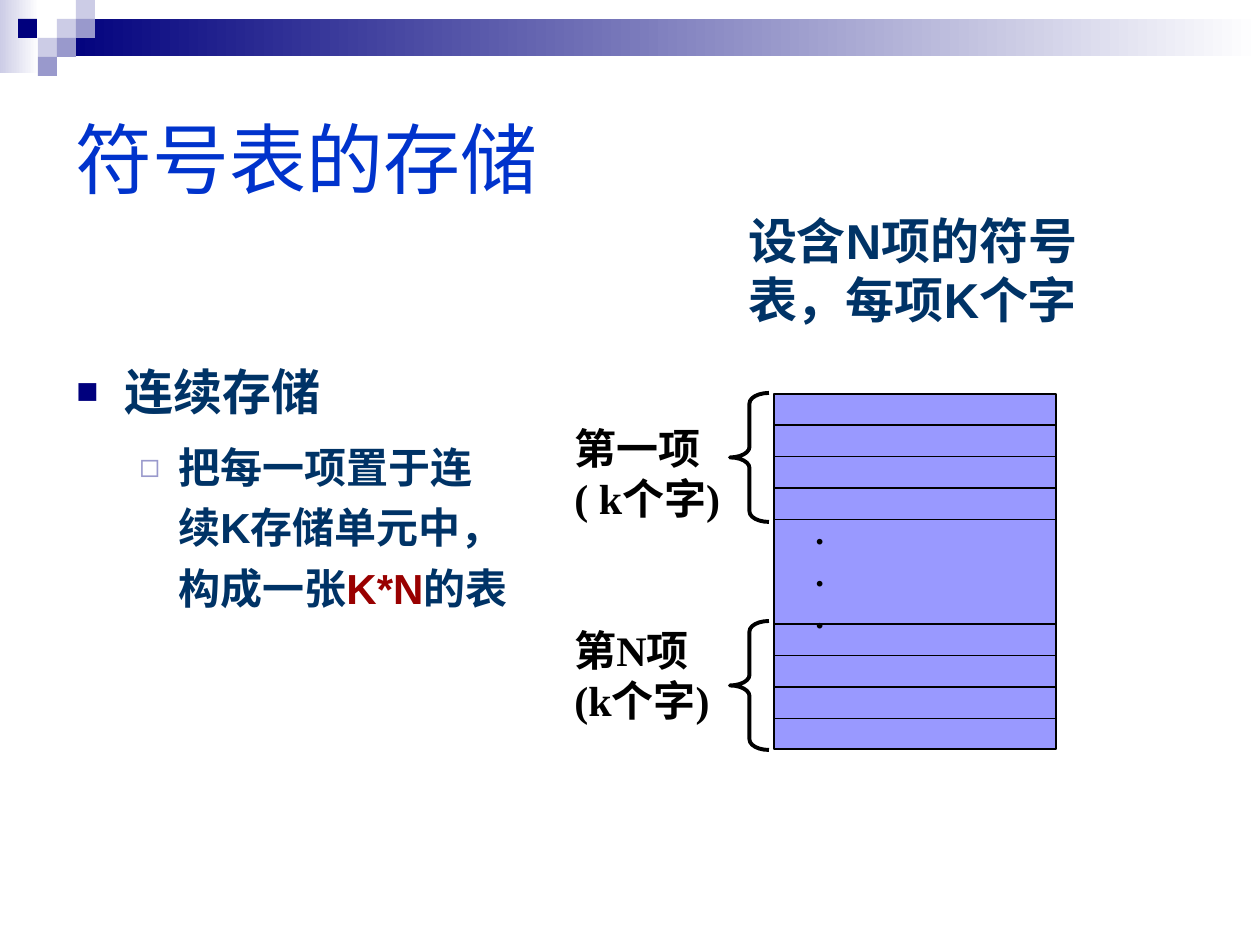
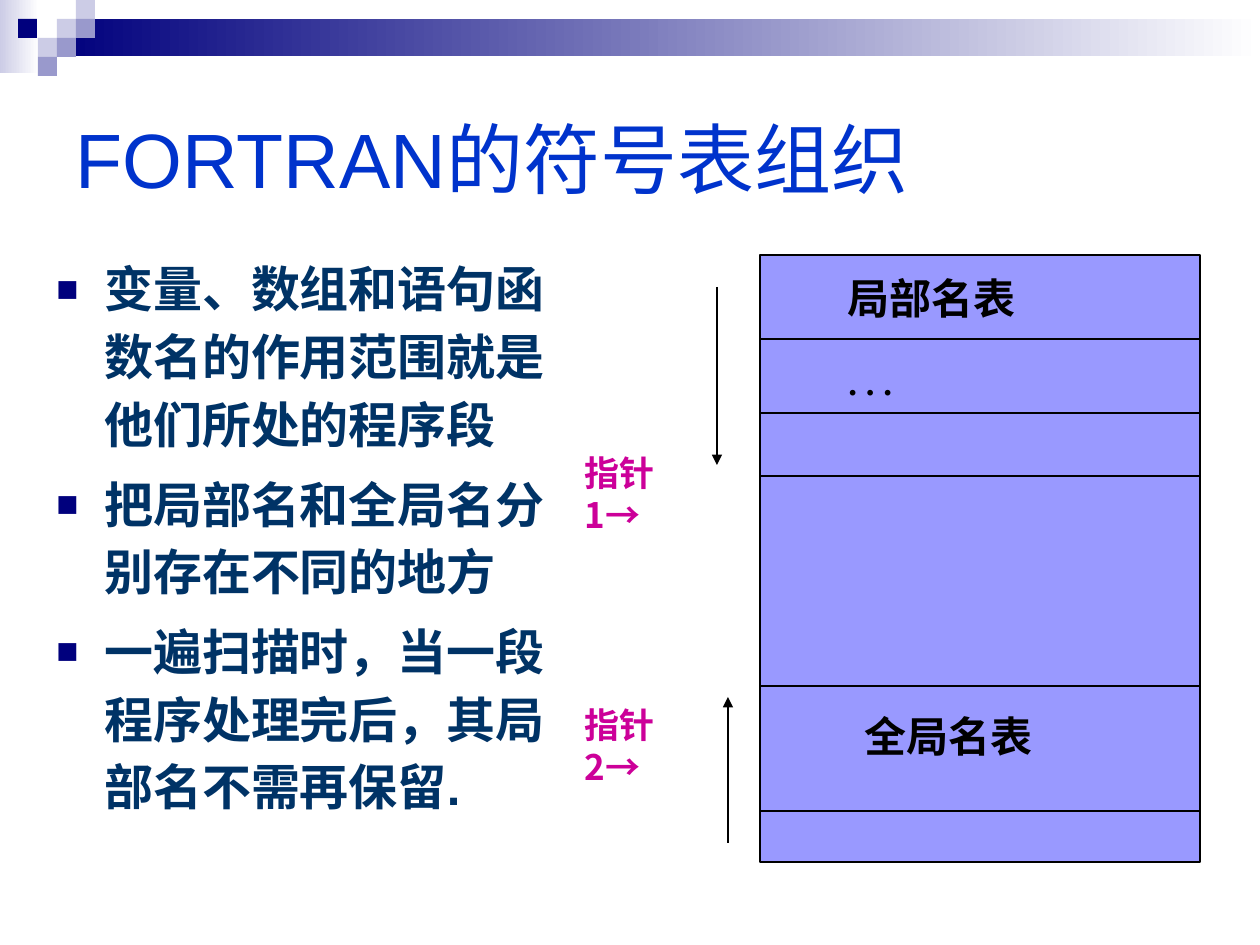
from lxml.etree import SubElement
from pptx import Presentation
from pptx.dml.color import RGBColor
from pptx.enum.shapes import MSO_CONNECTOR as Connector, MSO_SHAPE as Shape
from pptx.enum.text import MSO_ANCHOR as Anchor, MSO_AUTO_SIZE as AutoSize, PP_ALIGN as Align
from pptx.oxml.ns import qn
from pptx.util import Emu, Pt

PIXELS_PER_INCH = 126
WIDTH, HEIGHT = 1260, 945
NAVY, LAVENDER, MAUVE, CELL = "00007D", "CCCCE6", "9999CC", "9999FF"
TITLE, BODY, BLACK, WHITE = "0033CC", "003366", "000000", "FFFFFF"
RED, MAGENTA = "990000", "CC0099"
SANS, SERIF, CHINESE = "Arial", "Times New Roman", "Noto Sans CJK SC"
SQUARE = 19
THIN, MEDIUM, THICK = 0.74, 0.99, 2.24


def px(pixels):
    """Turn pixels into EMU."""
    return Emu(round(pixels * 914400 / PIXELS_PER_INCH))


def color(value):
    """Turn a hex string into a colour."""
    return RGBColor.from_string(value)


class Deck:
    """Holds the presentation, its style and the current slide."""

    def __init__(self):
        """Set the slide size and choose the title-only layout."""
        self.presentation = Presentation()
        self.presentation.slide_width = px(WIDTH)
        self.presentation.slide_height = px(HEIGHT)
        self.layout = self.presentation.slide_layouts[5]
        self.slide = None

    def start_slide(self, title):
        """Add a slide and format its title; the first one also fills the layout."""
        first = self.slide is None
        self.slide = self.presentation.slides.add_slide(self.layout)
        if first:
            self.decorate_layout()
        shape = self.slide.shapes.title
        shape.left, shape.top, shape.width, shape.height = map(px, (63, 63, 1134, 189))
        frame = shape.text_frame
        frame.text = title
        frame.auto_size = AutoSize.NONE
        frame.vertical_anchor = Anchor.MIDDLE
        frame.paragraphs[0].alignment = Align.LEFT
        self.format_run(frame.paragraphs[0].runs[0], 44, TITLE, SANS, False)

    def decorate_layout(self):
        """Draw the header band and squares once and move them to the layout."""
        shapes = [self.gradient(0, 0, 39, 73, LAVENDER),
                  self.gradient(57, SQUARE, WIDTH - 57, 37, NAVY)]
        squares = [(57, 19, LAVENDER), (76, 0, LAVENDER), (76, 19, MAUVE),
                   (38, 38, LAVENDER), (18, 19, NAVY), (57, 38, MAUVE), (38, 57, MAUVE)]
        for left, top, fill in squares:
            shapes.append(self.box(left, top, SQUARE, SQUARE, fill))
        tree = self.layout.shapes.element
        for number, shape in enumerate(shapes):
            shape.element.nvSpPr.cNvPr.set("id", str(100 + number))
            tree.insert(2 + number, shape.element)

    def box(self, left, top, width, height, fill, line=None, kind=Shape.RECTANGLE):
        """Add a preset shape; None leaves out the fill or the line."""
        shape = self.slide.shapes.add_shape(kind, px(left), px(top), px(width), px(height))
        shape.shadow.inherit = False
        if fill:
            shape.fill.solid()
            shape.fill.fore_color.rgb = color(fill)
        else:
            shape.fill.background()
        if line:
            shape.line.color.rgb = color(BLACK)
            shape.line.width = Pt(line)
        else:
            shape.line.fill.background()
        return shape

    def gradient(self, left, top, width, height, start):
        """Add a rectangle that fades to white on the right."""
        shape = self.box(left, top, width, height, start)
        shape.fill.gradient()
        shape.fill.gradient_angle = 0
        for stop, value in zip(shape.fill.gradient_stops, (start, WHITE)):
            stop.color.rgb = color(value)
        return shape

    def brace(self, left, top):
        """Add a left brace that spans four words of a table entry."""
        shape = self.box(left, top, 39, 129, None, THICK, Shape.LEFT_BRACE)
        shape.adjustments[0] = 0.27

    def line(self, start, end, width, arrow=False):
        """Add a straight black line, with an arrowhead at its end if asked."""
        connector = self.slide.shapes.add_connector(
            Connector.STRAIGHT, *map(px, start), *map(px, end))
        connector.line.color.rgb = color(BLACK)
        connector.line.width = Pt(width)
        properties = connector.element.spPr
        if arrow:
            SubElement(properties.find(qn("a:ln")), qn("a:tailEnd"), type="triangle")
        SubElement(properties, qn("a:effectLst"))

    def rules(self, left, right, heights, width):
        """Add horizontal lines at the given heights."""
        for y in heights:
            self.line((left, y), (right, y), width)

    def format_run(self, run, size, fill, font, bold=True):
        """Set the font of a run, Chinese characters included."""
        run.font.size = Pt(size)
        run.font.bold = bold
        run.font.name = font
        run.font.color.rgb = color(fill)
        SubElement(run.font._element, qn("a:ea"), typeface=CHINESE)

    def frame(self, left, top, width, height):
        """Add a wrapping text box and return its text frame."""
        shape = self.slide.shapes.add_textbox(px(left), px(top), px(width), px(height))
        shape.text_frame.word_wrap = True
        return shape.text_frame

    def label(self, text, left, top, width, height, size=24, fill=BLACK,
              font=SERIF, align=Align.LEFT):
        """Add a bold label with one paragraph for each line of text."""
        frame = self.frame(left, top, width, height)
        frame.text = text
        for paragraph in frame.paragraphs:
            paragraph.alignment = align
            self.format_run(paragraph.runs[0], size, fill, font)

    def bullets(self, items, left, top, width, height, spacing):
        """Add bulleted text; an item is a level and its (text, colour) parts."""
        styles = [(28, 7, 0.38, -0.38, "■", NAVY, 75),
                  (24, 6, 0.81, -0.31, "◻", MAUVE, 80)]
        frame = self.frame(left, top, width, height)
        for index, (level, parts) in enumerate(items):
            size, before, margin, indent, mark, mark_color, percent = styles[level]
            paragraph = frame.add_paragraph() if index else frame.paragraphs[0]
            paragraph.level = level
            paragraph.line_spacing = spacing
            paragraph.space_before = Pt(before)
            for text, fill in parts:
                run = paragraph.add_run()
                run.text = text
                self.format_run(run, size, fill, SANS)
            properties = paragraph._p.get_or_add_pPr()
            properties.set("marL", str(px(margin * PIXELS_PER_INCH)))
            properties.set("indent", str(px(indent * PIXELS_PER_INCH)))
            bullet_color = SubElement(properties, qn("a:buClr"))
            SubElement(bullet_color, qn("a:srgbClr"), val=mark_color)
            SubElement(properties, qn("a:buSzPct"), val=str(percent * 1000))
            SubElement(properties, qn("a:buFont"), typeface=SANS)
            SubElement(properties, qn("a:buChar"), char=mark)


def storage_slide(deck):
    """Build the slide on contiguous storage of the symbol table."""
    deck.start_slide("符号表的存储")
    deck.bullets([(0, [("连续存储", BODY)]),
                  (1, [("把每一项置于连续K存储单元中，构成一张", BODY),
                       ("K*N", RED), ("的表", BODY)])],
                 64, 344, 457, 367, 1.2)
    deck.box(774, 394, 282, 355, CELL, MEDIUM)
    for first_rule in (425, 624):
        heights = [first_rule + 31.5 * row for row in range(4)]
        deck.rules(774, 1057, heights, MEDIUM)
    deck.label("第一项\n( k个字)", 562, 416, 205, 115)
    deck.label("第N项\n(k个字)", 562, 618, 205, 115)
    deck.label(".\n.\n.", 803, 503, 34, 139, size=20)
    deck.label("设含N项的符号表，每项K个字", 719, 204, 387, 131, 28, BODY, SANS, Align.CENTER)
    for top in (393, 621):
        deck.brace(730, top)


def fortran_slide(deck):
    """Build the slide on the FORTRAN symbol table."""
    deck.start_slide("FORTRAN的符号表组织")
    texts = ["变量、数组和语句函数名的作用范围就是他们所处的程序段",
             "把局部名和全局名分别存在不同的地方",
             "一遍扫描时，当一段程序处理完后，其局部名不需再保留."]
    deck.bullets([(0, [(text, BODY)]) for text in texts], 44, 244, 525, 645, 1.15)
    deck.box(760, 255, 440, 607, CELL, MEDIUM)
    deck.rules(760, 1201, (339, 413, 686), MEDIUM)
    deck.rules(760, 1201, (476, 811), THIN)
    deck.label("局部名表", 835, 266, 200, 63)
    deck.label(". . .", 836, 354, 90, 54, size=20)
    deck.label("全局名表", 852, 704, 200, 63)
    for text, top in (("指针1→", 445), ("指针2→", 697)):
        deck.label(text, 572, top, 110, 97, 20, MAGENTA, CHINESE)
    deck.line((717, 287), (717, 465), THIN, arrow=True)
    deck.line((728, 843), (728, 697), THIN, arrow=True)


deck = Deck()
storage_slide(deck)
fortran_slide(deck)
deck.presentation.save("out.pptx")
